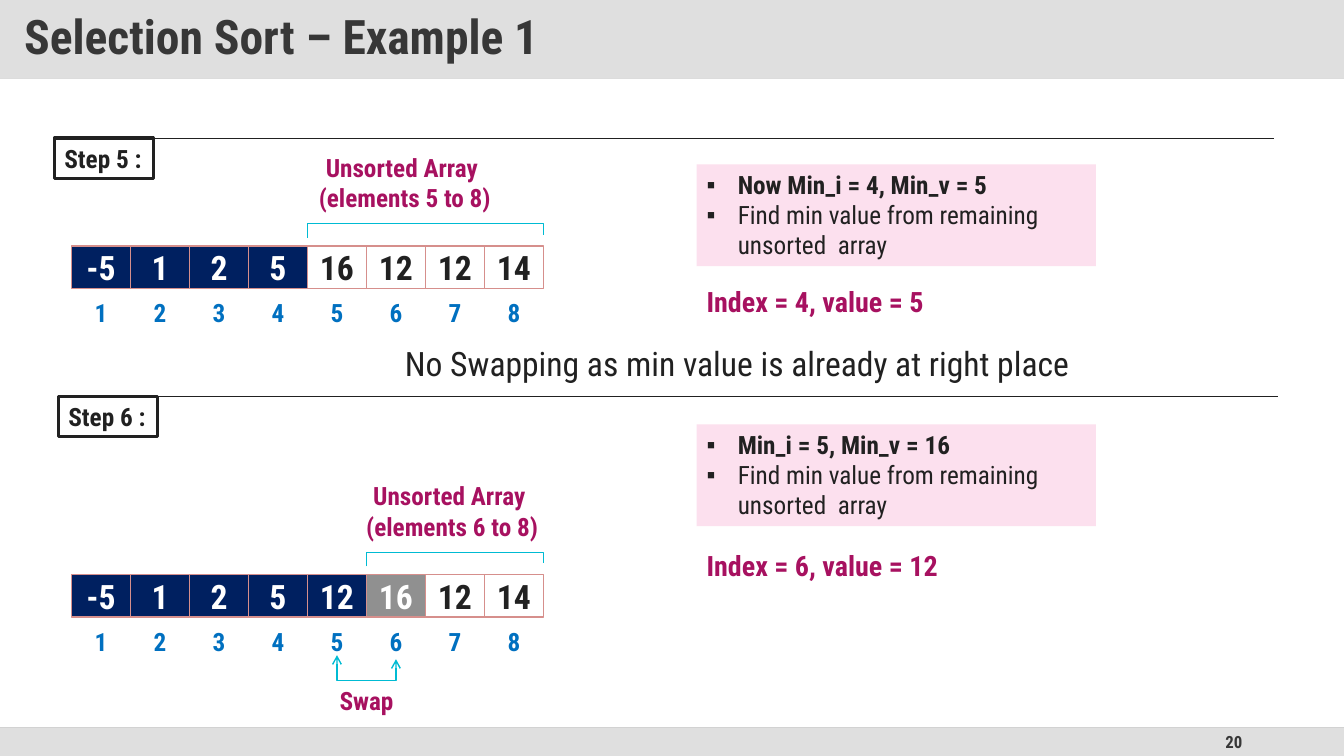
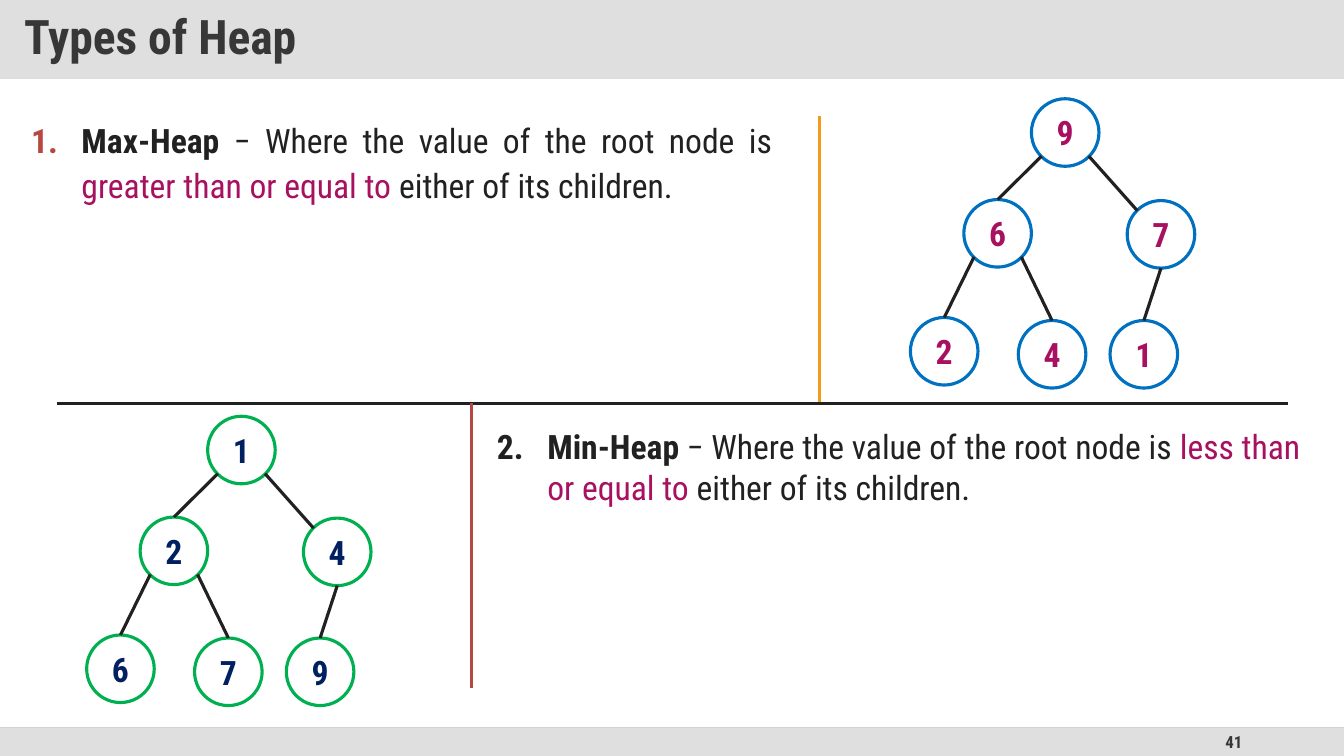
from lxml import etree
from pptx import Presentation
from pptx.dml.color import RGBColor
from pptx.enum.shapes import MSO_CONNECTOR, MSO_SHAPE
from pptx.enum.text import MSO_ANCHOR, PP_ALIGN
from pptx.oxml.ns import qn
from pptx.util import Inches, Pt

RECTANGLE, OVAL = MSO_SHAPE.RECTANGLE, MSO_SHAPE.OVAL
STRAIGHT = MSO_CONNECTOR.STRAIGHT
TOP, MIDDLE = MSO_ANCHOR.TOP, MSO_ANCHOR.MIDDLE
LEFT, CENTER, RIGHT, JUSTIFY = PP_ALIGN.LEFT, PP_ALIGN.CENTER, PP_ALIGN.RIGHT, PP_ALIGN.JUSTIFY

FONT = "Roboto Condensed"
INK = RGBColor(0x21, 0x21, 0x21)
HEADING = RGBColor(0x37, 0x37, 0x37)
BAND = RGBColor(0xDF, 0xDF, 0xDF)
TITLE_RULE = RGBColor(0xD9, 0xD9, 0xD9)
FOOTER_RULE = RGBColor(0xD2, 0xD2, 0xD2)
WHITE = RGBColor(0xFF, 0xFF, 0xFF)
NAVY = RGBColor(0x00, 0x20, 0x60)
GRAY = RGBColor(0x90, 0x90, 0x90)
BLUE = RGBColor(0x00, 0x70, 0xC0)
GREEN = RGBColor(0x00, 0xB0, 0x50)
CYAN = RGBColor(0x00, 0xBB, 0xD3)
MAGENTA = RGBColor(0xA7, 0x11, 0x60)
PINK = RGBColor(0xFC, 0xE0, 0xEE)
SALMON = RGBColor(0xD6, 0x8F, 0x8C)
RED = RGBColor(0xB8, 0x47, 0x42)
ORANGE = RGBColor(0xF1, 0x9D, 0x19)


def add_box(slide, at, paragraphs, size=18, kind=None, fill=None, outline=None, weight=1,
            align=LEFT, anchor=TOP, wrap=True, spacing=None, inset=0.1,
            indent=0, bullet=(), bullet_color=None):
    """Add a shape, or a text box if kind is None; a paragraph is a list of (text, color, bold).

    bullet holds the tag and the attributes of each bullet element.
    """
    place = [Inches(length) for length in at]
    if kind is None:
        box = slide.shapes.add_textbox(*place)
    else:
        box = slide.shapes.add_shape(kind, *place)
        box.shadow.inherit = False
        if fill is None:
            box.fill.background()
        else:
            box.fill.solid()
            box.fill.fore_color.rgb = fill
        if outline is None:
            box.line.fill.background()
        else:
            box.line.color.rgb = outline
            box.line.width = Pt(weight)
    frame = box.text_frame
    frame.word_wrap = wrap
    frame.vertical_anchor = anchor
    frame.margin_left = Inches(inset)
    for number, runs in enumerate(paragraphs):
        paragraph = frame.add_paragraph() if number else frame.paragraphs[0]
        paragraph.alignment = align
        if bullet:
            properties = paragraph._p.get_or_add_pPr()
            properties.set("marL", str(Inches(indent)))
            properties.set("indent", str(-Inches(indent)))
            if bullet_color is not None:
                color = etree.SubElement(properties, qn("a:buClr"))
                etree.SubElement(color, qn("a:srgbClr"), val=str(bullet_color))
            for tag, attributes in bullet:
                etree.SubElement(properties, qn(tag), attributes)
        if spacing:
            paragraph.line_spacing = spacing
        for text, color, bold in runs:
            run = paragraph.add_run()
            run.text = text
            run.font.name = FONT
            run.font.size = Pt(size)
            run.font.bold = bold
            run.font.color.rgb = color


def add_line(slide, points, color, weight, arrows=False):
    """Draw a connector through two points, or an open outline through more."""
    corners = [(Inches(x), Inches(y)) for x, y in points]
    if len(corners) == 2:
        line = slide.shapes.add_connector(STRAIGHT, *corners[0], *corners[1])
        etree.SubElement(line._element.spPr, qn("a:effectLst"))
    else:
        builder = slide.shapes.build_freeform(*corners[0])
        builder.add_line_segments(corners[1:], close=False)
        line = builder.convert_to_shape()
        line.shadow.inherit = False
        line.fill.background()
    line.line.color.rgb = color
    line.line.width = Pt(weight)
    if arrows:
        for end in ("a:headEnd", "a:tailEnd"):
            etree.SubElement(line.line._get_or_add_ln(), qn(end), type="arrow")


prs = Presentation()
prs.slide_width, prs.slide_height = Inches(13.33), Inches(7.5)
blank = prs.slide_layouts[6]

# Title band and footer
for title, page in (("Selection Sort – Example 1", "20"), ("Types of Heap", "41")):
    slide = prs.slides.add_slide(blank)
    add_box(slide, (0, 7.22, 13.33, 0.28), [], kind=RECTANGLE, fill=BAND)
    add_box(slide, (9.42, 7.22, 3, 0.28), [[(page, HEADING, True)]], 12,
            align=RIGHT, anchor=MIDDLE)
    add_line(slide, [(0, 0.78), (13.33, 0.78)], TITLE_RULE, 1)
    add_line(slide, [(0, 7.22), (13.33, 7.22)], FOOTER_RULE, 1)
    add_box(slide, (0, 0, 13.33, 0.78), [[(title, HEADING, True)]], 34, kind=RECTANGLE,
            fill=BAND, anchor=MIDDLE, spacing=0.9, inset=0.24)
sort_slide, heap_slide = prs.slides

# Selection sort steps
ARRAY_LEFT, PITCH, CELL_HEIGHT = 0.71, 0.585, 0.42
SQUARE_BULLET = (("a:buFont", {"typeface": "Arial"}), ("a:buChar", {"char": "▪"}))
STEPS = (
    # step, left, top, array top, values, sorted, swapped, label left, first unsorted,
    # note top, note, result top, result
    (5, 0.54, 1.37, 2.44, (-5, 1, 2, 5, 16, 12, 12, 14), 4, None, 3.03, 5,
     1.63, "Now Min_i = 4, Min_v = 5", 2.77, "Index = 4, value = 5"),
    (6, 0.58, 3.93, 5.7, (-5, 1, 2, 5, 12, 16, 12, 14), 5, 5, 3.5, 6,
     4.21, "Min_i = 5, Min_v = 16", 5.39, "Index = 6, value = 12"),
)
for (step, left, top, array_top, values, sorted_count, swapped, label_left, first,
     note_top, note, result_top, result) in STEPS:
    add_line(sort_slide, [(left, top), (left + 12.1, top)], INK, 0.5)
    add_box(sort_slide, (left, top, 0.98, 0.4), [[(f"Step {step} :", INK, True)]],
            kind=RECTANGLE, outline=INK, weight=2.25, wrap=False)

    for position, value in enumerate(values):
        x = ARRAY_LEFT + position * PITCH
        if position < sorted_count:
            fill, color = NAVY, WHITE
        elif position == swapped:
            fill, color = GRAY, WHITE
        else:
            fill, color = WHITE, INK
        add_box(sort_slide, (x, array_top, PITCH, CELL_HEIGHT), [[(str(value), color, True)]],
                24, kind=RECTANGLE, fill=fill, outline=SALMON, align=CENTER, anchor=MIDDLE)
        add_box(sort_slide, (x, array_top + 0.45, PITCH, CELL_HEIGHT),
                [[(str(position + 1), BLUE, True)]], kind=RECTANGLE, fill=WHITE,
                align=CENTER, anchor=MIDDLE)

    start = ARRAY_LEFT + (first - 1) * PITCH
    end = ARRAY_LEFT + len(values) * PITCH
    bracket = array_top - 0.22
    add_line(sort_slide, [(start, bracket + 0.14), (start, bracket), (end, bracket),
                          (end, bracket + 0.11)], CYAN, 1)
    add_box(sort_slide, (label_left, array_top - 0.98, 1.97, 0.71),
            [[("Unsorted Array ", MAGENTA, True)],
             [(f"(elements {first} to 8)", MAGENTA, True)]], align=CENTER, wrap=False)

    add_box(sort_slide, (6.91, note_top, 3.96, 1.01),
            [[(note, INK, True)],
             [("Find min value from remaining unsorted  array", INK, False)]],
            kind=RECTANGLE, fill=PINK, indent=0.31, bullet=SQUARE_BULLET)
    add_box(sort_slide, (6.91, result_top, 2.62, 0.44), [[(result, MAGENTA, True)]], 20,
            kind=RECTANGLE, fill=WHITE)

add_box(sort_slide, (3.88, 3.35, 6.94, 0.5),
        [[("No Swapping as min value is already at right place ", INK, False)]], 24,
        kind=RECTANGLE, fill=WHITE, align=CENTER, wrap=False)
swap_from = ARRAY_LEFT + 4.5 * PITCH
swap_to = swap_from + PITCH
add_line(sort_slide, [(swap_from, 6.5), (swap_from, 6.75), (swap_to, 6.75), (swap_to, 6.54)],
         CYAN, 1, arrows=True)
add_box(sort_slide, (3.14, 6.75, 0.99, 0.4), [[("Swap", MAGENTA, True)]], align=CENTER)

# Heap definitions
for at, number, number_color, term, relation, align, spacing in (
    ((0.21, 1.08, 7.55, 1.13), 1, RED, "Max-Heap", "greater than or equal to ", JUSTIFY, 1.14),
    ((4.83, 4.18, 8.2, 1.31), 2, INK, "Min-Heap", "less than or equal to ", LEFT, None),
):
    add_box(heap_slide, at,
            [[(term, INK, True), (" − Where the value of the root node is ", INK, False),
              (relation, MAGENTA, False), ("either of its children.", INK, False)]],
            24, align=align, spacing=spacing, indent=0.5, bullet_color=number_color,
            bullet=[("a:buAutoNum", {"type": "arabicPeriod", "startAt": str(number)})])

for points, color in (
    ([(0.57, 4), (12.77, 4)], INK),
    ([(8.13, 1.15), (8.13, 3.99)], ORANGE),
    ([(4.68, 4), (4.68, 6.83)], RED),
):
    add_line(heap_slide, points, color, 2.25)

# Heap trees: node offsets from the root, and edges between points on the node outlines
NODE = 0.67
OFFSETS = ((0, 0), (-0.67, 1), (0.95, 1.01), (-1.2, 2.17), (-0.13, 2.2), (0.78, 2.2))
UPPER, LOWER = (0.5, 0), (0.5, 1)
UPPER_LEFT, LOWER_LEFT, LOWER_RIGHT = (0.15, 0.15), (0.15, 0.85), (0.85, 0.85)
EDGES = (
    (0, LOWER_LEFT, 1, UPPER),
    (0, LOWER_RIGHT, 2, UPPER_LEFT),
    (1, LOWER_LEFT, 3, UPPER),
    (1, LOWER_RIGHT, 4, UPPER),
    (2, LOWER, 5, UPPER),
)
for root_x, root_y, keys, outline, color in (
    (10.23, 0.98, "967241", BLUE, MAGENTA),
    (2.06, 4.13, "124679", GREEN, NAVY),
):
    nodes = [(root_x + dx, root_y + dy) for dx, dy in OFFSETS]
    for (x, y), key in zip(nodes, keys):
        add_box(heap_slide, (x, y, NODE, NODE), [[(key, color, True)]], 24, kind=OVAL,
                outline=outline, weight=2.25, align=CENTER, anchor=MIDDLE)
    for parent, leave, child, enter in EDGES:
        points = [(nodes[node][0] + NODE * across, nodes[node][1] + NODE * down)
                  for node, (across, down) in ((parent, leave), (child, enter))]
        add_line(heap_slide, points, INK, 2.25)

prs.save("out.pptx")
